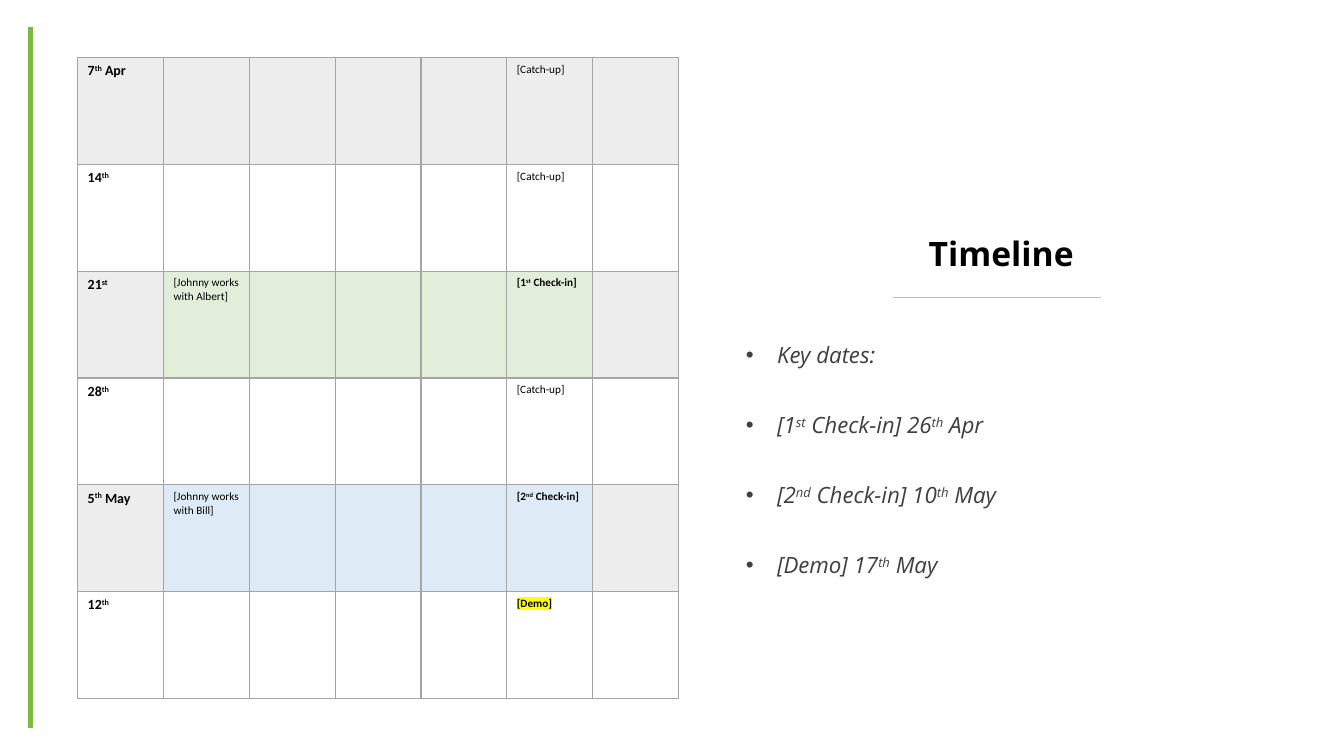
import pptx
import pptx.dml.color
import pptx.enum.shapes
import pptx.enum.text
import pptx.oxml
import pptx.oxml.ns
import pptx.util
from lxml import etree

Inches, Pt = pptx.util.Inches, pptx.util.Pt
PP_ALIGN = pptx.enum.text.PP_ALIGN
ANCHOR = pptx.enum.text.MSO_ANCHOR
qn = pptx.oxml.ns.qn

BLACK, WHITE, GREY, LEAF, SKY = "000000", "FFFFFF", "A5A5A5", "70AD47", "5B9BD5"

# Date, work note, Friday event, tint of the row ends, tint of the working days.
# Text between ^ marks is superscript.
WEEKS = [
    ("7^th^ Apr", "", "[Catch-up]", GREY, GREY),
    ("14^th^", "", "[Catch-up]", None, None),
    ("21^st^", "[Johnny works with Albert]", "[1^st^ Check-in]", GREY, LEAF),
    ("28^th^", "", "[Catch-up]", None, None),
    ("5^th^ May", "[Johnny works with Bill]", "[2^nd^ Check-in]", GREY, SKY),
    ("12^th^", "", "[Demo]", None, None),
]
KEY_DATES = ["Key dates:", "[1^st^ Check-in] 26^th^ Apr",
             "[2^nd^ Check-in] 10^th^ May", "[Demo] 17^th^ May"]


def rgb(color):
    return pptx.dml.color.RGBColor.from_string(color)


def write(p, text, size, font, color=BLACK, bold=False, italic=False, highlight=None):
    """Add text to a paragraph, raising the parts between ^ marks."""
    for i, part in enumerate(text.split("^")):
        if not part:
            continue
        r = p.add_run()
        r.text = part
        r.font.size, r.font.name = Pt(size), font
        r.font.bold, r.font.italic = bold, italic
        r.font.color.rgb = rgb(color)
        rPr = r._r.get_or_add_rPr()
        if i % 2:
            rPr.set("baseline", "30000")
        if highlight:
            mark = etree.Element(qn("a:highlight"))
            etree.SubElement(mark, qn("a:srgbClr"), val=highlight)
            rPr.find(qn("a:solidFill")).addnext(mark)


class TimelineSlide:
    """Holds the fonts and the slide, and draws each kind of element."""
    heading_font = "Open Sans"
    table_font = "Calibri"

    def __init__(self, prs):
        self.slide = prs.slides.add_slide(prs.slide_layouts[6])
        self.shapes = self.slide.shapes

    def line(self, x1, y1, x2, y2, color, width):
        sp = self.shapes.add_connector(
            pptx.enum.shapes.MSO_CONNECTOR.STRAIGHT,
            Inches(x1), Inches(y1), Inches(x2), Inches(y2))
        sp.line.color.rgb = rgb(color)
        sp.line.width = Pt(width)
        etree.SubElement(sp._element.spPr, qn("a:effectLst"))

    def frame(self, x, y, w, h, color, width):
        sp = self.shapes.add_shape(
            pptx.enum.shapes.MSO_SHAPE.RECTANGLE,
            Inches(x), Inches(y), Inches(w), Inches(h))
        sp.shadow.inherit = False
        sp.fill.background()
        sp.line.color.rgb = rgb(color)
        sp.line.width = Pt(width)

    def text_box(self, x, y, w, h, anchor):
        tf = self.shapes.add_textbox(Inches(x), Inches(y), Inches(w), Inches(h)).text_frame
        tf.word_wrap = True
        tf.vertical_anchor = anchor
        return tf

    def title(self, text, x, y, w, h):
        p = self.text_box(x, y, w, h, ANCHOR.MIDDLE).paragraphs[0]
        p.alignment = PP_ALIGN.CENTER
        p.line_spacing = 0.9
        write(p, text, 24, self.heading_font, bold=True)

    def bullets(self, items, x, y, w, h):
        tf = self.text_box(x, y, w, h, ANCHOR.TOP)
        for i, item in enumerate(items):
            p = tf.add_paragraph() if i else tf.paragraphs[0]
            pPr = p._p.get_or_add_pPr()
            pPr.set("marL", str(Inches(0.31)))
            pPr.set("indent", str(-Inches(0.31)))
            etree.SubElement(pPr, qn("a:buFont"), typeface="Arial")
            etree.SubElement(pPr, qn("a:buChar"), char="•")
            p.line_spacing = Pt(40)
            if i:
                p.space_before = Pt(10)
            write(p, item, 16, self.heading_font, "404040", italic=True)

    def cell_style(self, cell, tint):
        """Give a cell grey borders and a tint at 20% opacity."""
        tcPr = cell._tc.get_or_add_tcPr()
        for side in ("lnL", "lnR", "lnT", "lnB"):
            ln = etree.SubElement(tcPr, qn("a:" + side), w=str(Pt(1)))
            fill = etree.SubElement(ln, qn("a:solidFill"))
            etree.SubElement(fill, qn("a:srgbClr"), val=GREY)
        if tint:
            cell.fill.solid()
            cell.fill.fore_color.rgb = rgb(tint)
            color = tcPr.find(qn("a:solidFill")).find(qn("a:srgbClr"))
            etree.SubElement(color, qn("a:alpha"), val="20000")
        else:
            cell.fill.background()

    def calendar(self, weeks, x, y, w, h, days=7):
        table = self.shapes.add_table(
            len(weeks), days, Inches(x), Inches(y), Inches(w), Inches(h)).table
        table.first_row = table.horz_banding = False
        for row, (date, work, event, end_tint, work_tint) in enumerate(weeks):
            for day in range(days):
                self.cell_style(table.cell(row, day),
                                end_tint if day in (0, days - 1) else work_tint)
            for day, text, size in ((0, date, 10), (1, work, 8), (5, event, 8)):
                milestone = day == 5 and text != "[Catch-up]"
                write(table.cell(row, day).text_frame.paragraphs[0], text, size,
                      self.table_font, bold=day == 0 or milestone,
                      highlight="FFFF00" if text == "[Demo]" else None)


def main():
    prs = pptx.Presentation()
    prs.slide_width, prs.slide_height = Inches(13.33), Inches(7.5)
    s = TimelineSlide(prs)
    s.line(0.3, 0.17, 0.3, 7.33, "79BC3E", 4.5)
    s.frame(0.14, 0.13, 13.06, 7.23, WHITE, 20)
    s.line(8.86, 2.95, 10.92, 2.95, "BFBFBF", 1)
    s.title("Timeline", 7.3, 2.23, 5.26, 0.61)
    s.bullets(KEY_DATES, 7.3, 3.05, 5.26, 3.41)
    s.calendar(WEEKS, 0.77, 0.57, 5.96, 6.36)
    prs.save("out.pptx")


if __name__ == "__main__":
    main()
